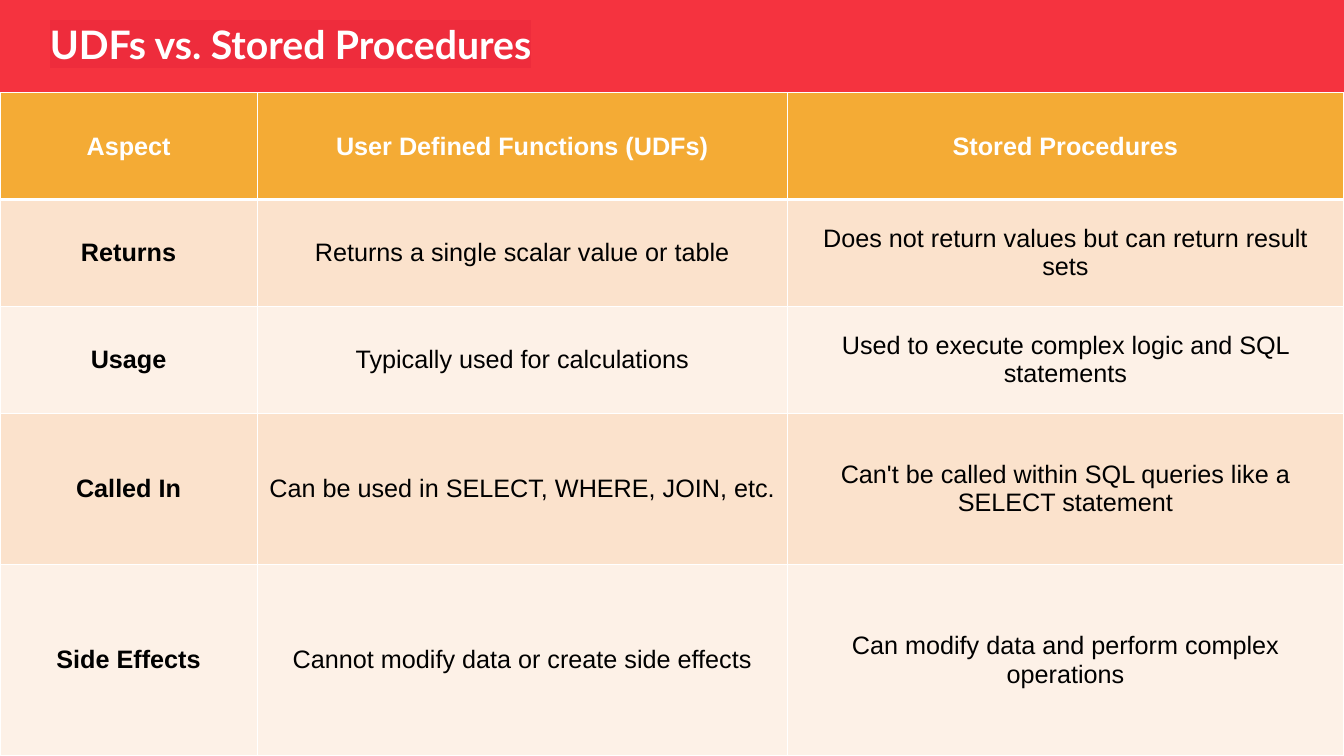
import pptx
import pptx.dml.color
import pptx.enum.shapes
import pptx.enum.text
import pptx.oxml
import pptx.oxml.ns
import pptx.util

Cm = pptx.util.Cm
Pt = pptx.util.Pt
MIDDLE = pptx.enum.text.MSO_ANCHOR.MIDDLE
NS = pptx.oxml.ns.nsdecls("a")


def rgb(value):
    return pptx.dml.color.RGBColor.from_string(value)


def add_border(cell, index, side, width):
    """Put a white line on one side; index keeps the order L, R, T, B."""
    cell._tc.get_or_add_tcPr().insert(index, pptx.oxml.parse_xml(
        f'<a:ln{side} {NS} w="{Pt(width)}"><a:solidFill>'
        f'<a:srgbClr val="FFFFFF"/></a:solidFill></a:ln{side}>'))


prs = pptx.Presentation()
prs.slide_width, prs.slide_height = Cm(33.87), Cm(19.05)
slide = prs.slides.add_slide(prs.slide_layouts[5])

# Title band
band = slide.shapes.add_shape(
    pptx.enum.shapes.MSO_SHAPE.RECTANGLE, 0, 0, prs.slide_width, Cm(2.36))
band.shadow.inherit = False
band.fill.solid()
band.fill.fore_color.rgb = rgb("F5333F")
band.line.fill.background()

title = slide.shapes.title
band._element.addnext(title._element)
title.left, title.top, title.width, title.height = Cm(1), Cm(0.46), Cm(15.95), Cm(1.42)
tf = title.text_frame
tf.word_wrap = True
tf.auto_size = pptx.enum.text.MSO_AUTO_SIZE.NONE
tf.vertical_anchor = MIDDLE
p = tf.paragraphs[0]
p.alignment = pptx.enum.text.PP_ALIGN.LEFT
p.line_spacing = 0.9
r = p.add_run()
r.text = "UDFs vs. Stored Procedures"
r.font.size = Pt(28)
r.font.bold = True
r.font.color.rgb = rgb("FFFFFF")
r.font._element.append(pptx.oxml.parse_xml(
    f'<a:highlight {NS}><a:srgbClr val="EE2C3C"/></a:highlight>'))
r.font.name = "Lato"

# Comparison table
rows = [
    ("Aspect", "User Defined Functions (UDFs)", "Stored Procedures"),
    ("Returns", "Returns a single scalar value or table",
     "Does not return values but can return result sets"),
    ("Usage", "Typically used for calculations",
     "Used to execute complex logic and SQL statements"),
    ("Called In", "Can be used in SELECT, WHERE, JOIN, etc.",
     "Can't be called within SQL queries like a SELECT statement"),
    ("Side Effects", "Cannot modify data or create side effects",
     "Can modify data and perform complex operations"),
]
col_widths = [6.48, 13.36, 14.02]
row_heights = [2.69, 2.69, 2.69, 3.81, 4.83]

table = slide.shapes.add_table(
    len(rows), len(col_widths), 0, Cm(2.34),
    Cm(sum(col_widths)), Cm(sum(row_heights))).table
for column, width in zip(table.columns, col_widths):
    column.width = Cm(width)
for row, height in zip(table.rows, row_heights):
    row.height = Cm(height)

for i, texts in enumerate(rows):
    header = i == 0
    fill = "F4AB35" if header else ("FDF1E7", "FBE2CC")[i % 2]
    for j, text in enumerate(texts):
        cell = table.cell(i, j)
        cell.vertical_anchor = MIDDLE
        cell.fill.solid()
        cell.fill.fore_color.rgb = rgb(fill)
        for index, side in enumerate("LRTB"):
            thick = (header and side == "B") or (i == 1 and side == "T")
            add_border(cell, index, side, 3 if thick else 1)
        p = cell.text_frame.paragraphs[0]
        p.alignment = pptx.enum.text.PP_ALIGN.CENTER
        r = p.add_run()
        r.text = text
        r.font.name = "Arial"
        r.font.size = Pt(18)
        r.font.bold = header or j == 0
        r.font.color.rgb = rgb("FFFFFF" if header else "000000")

prs.save("out.pptx")
